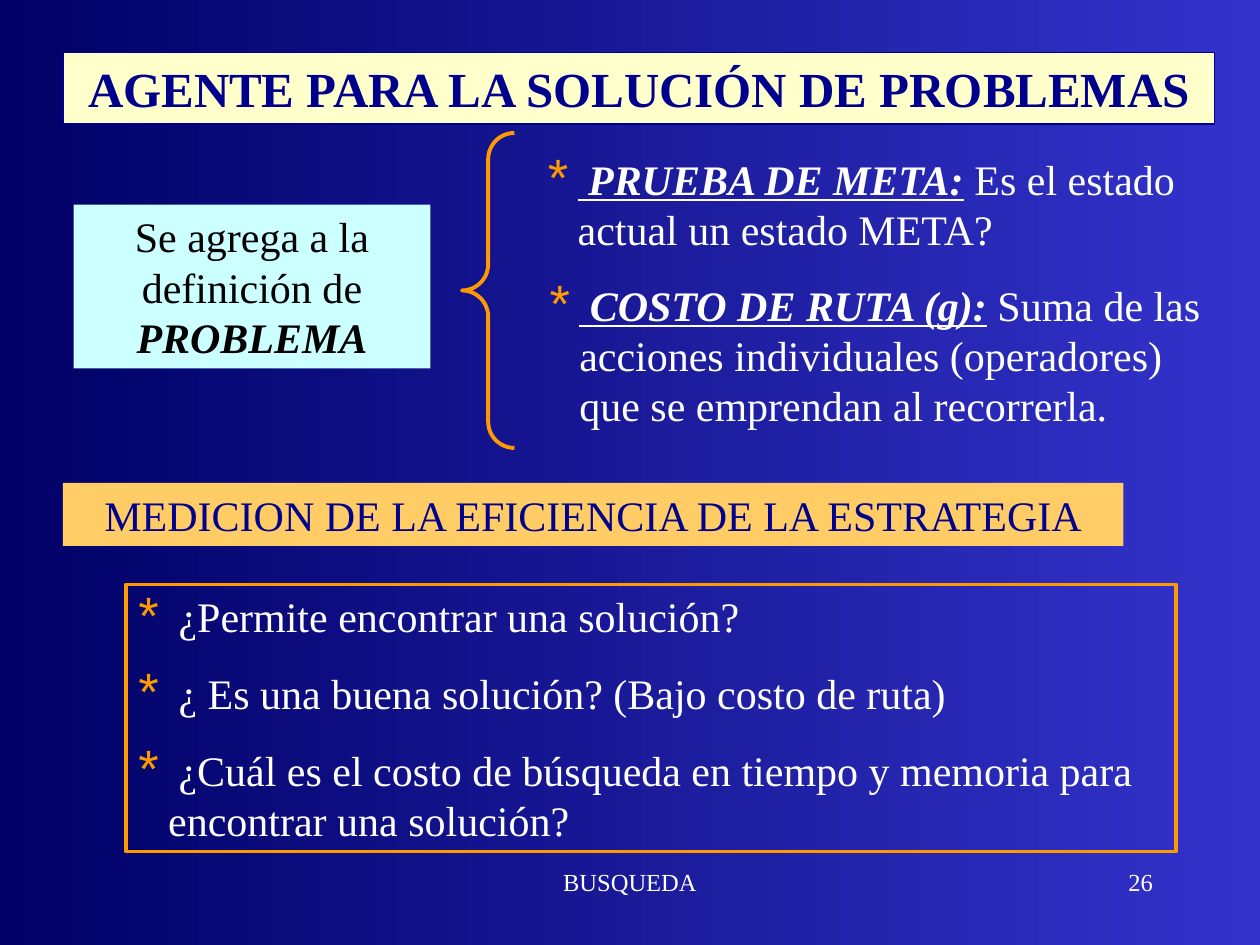
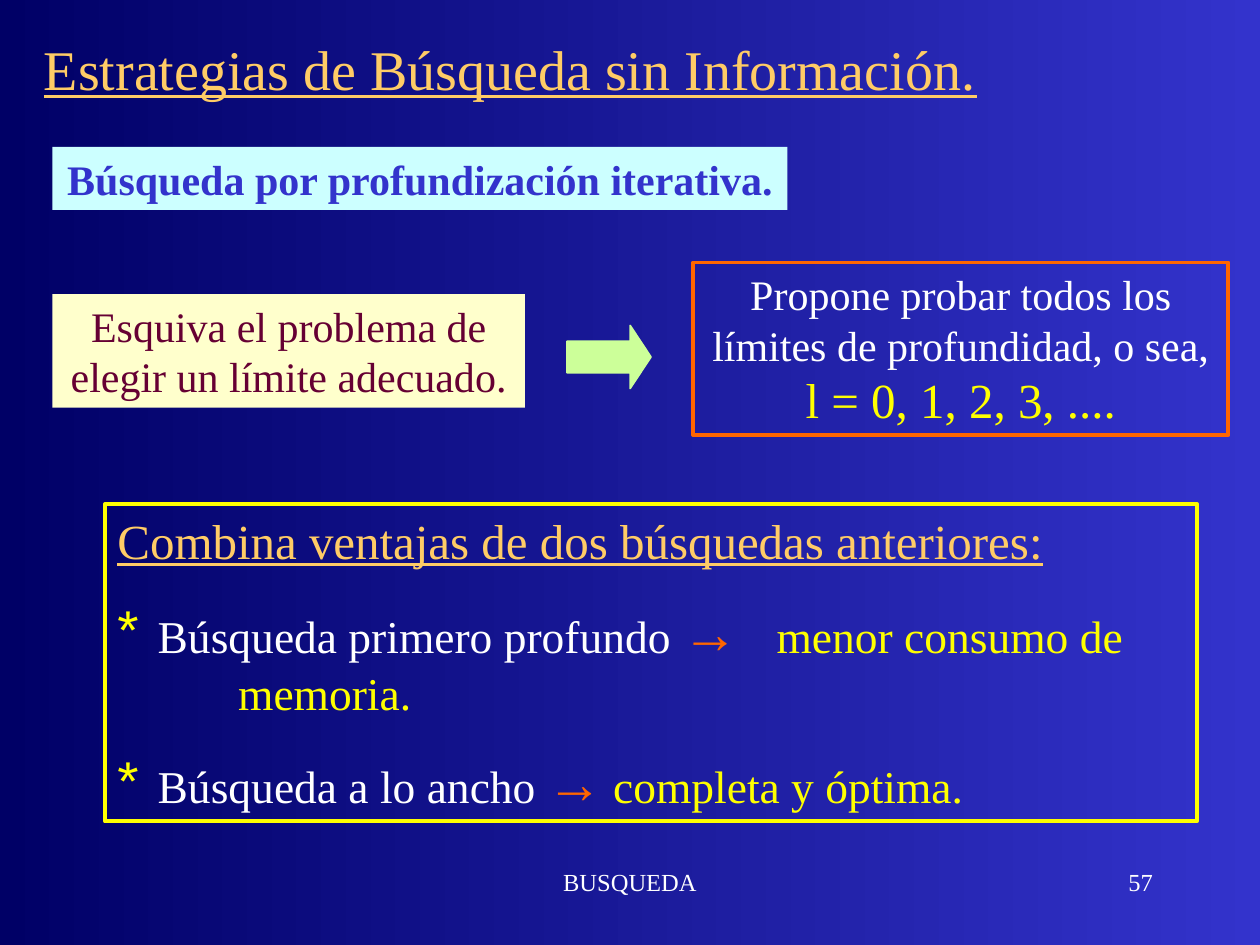
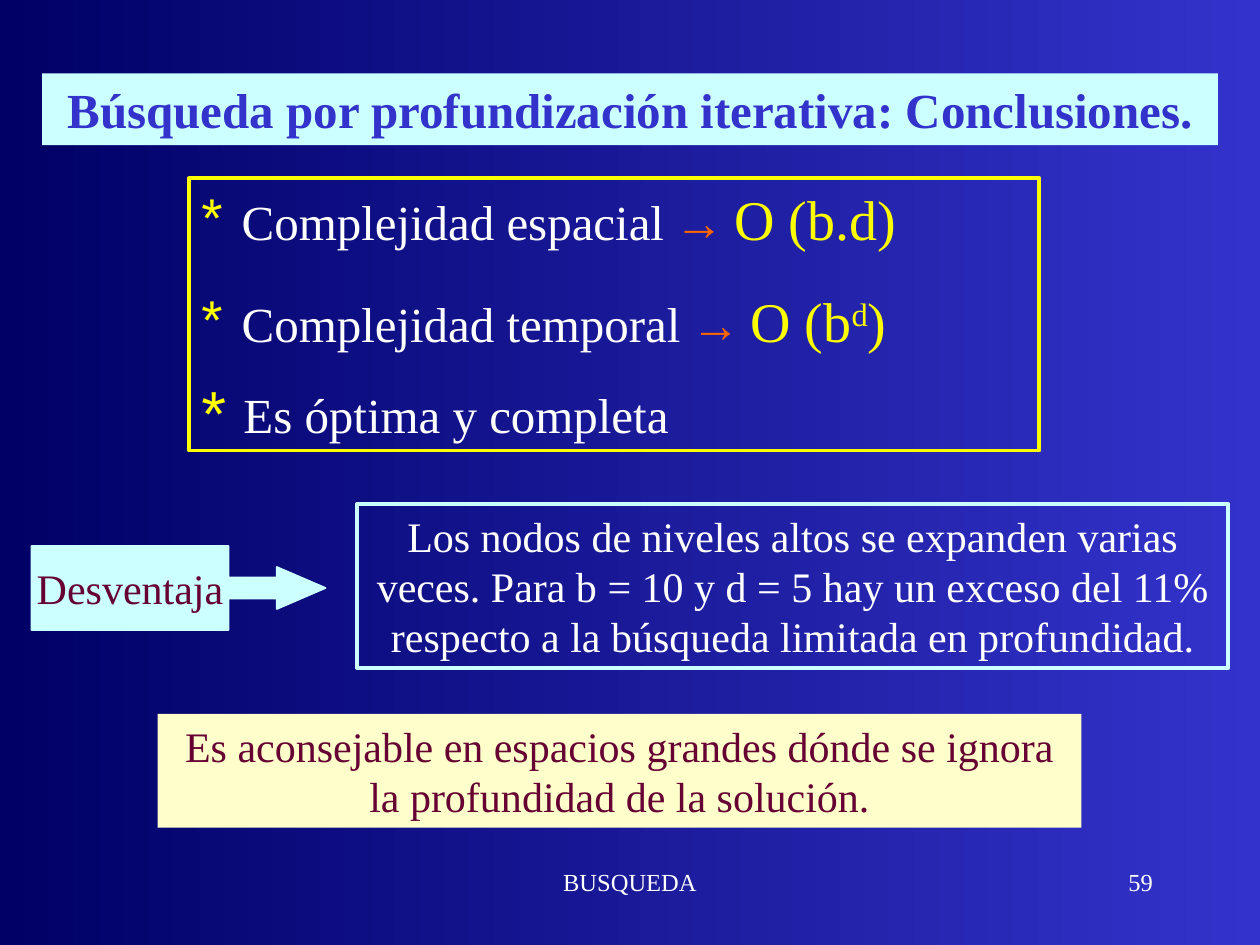
from dataclasses import dataclass

import pptx
import pptx.dml.color
import pptx.enum.shapes
import pptx.enum.text
import pptx.oxml
import pptx.oxml.ns
import pptx.util
from lxml import etree

Pt = pptx.util.Pt
SHAPE = pptx.enum.shapes.MSO_SHAPE
ALIGN = pptx.enum.text.PP_ALIGN
ANCHOR = pptx.enum.text.MSO_ANCHOR
AUTO = pptx.enum.text.MSO_AUTO_SIZE

WHITE, BLACK, YELLOW = "FFFFFF", "000000", "FFFF00"
BLUE, NAVY, DEEP = "3333CC", "00008C", "000066"
CREAM, ICE, LIME, GOLD = "FFFFCC", "CCFFFF", "CCFF99", "FFCC66"
ORANGE, RED, WINE = "FF9900", "FF6600", "660033"


def rgb(value):
    return pptx.dml.color.RGBColor.from_string(value)


@dataclass
class Run:
    text: str
    size: float = 24
    color: str = WHITE
    bold: bool = False
    italic: bool = False
    underline: bool = False
    font: str = "Times New Roman"
    baseline: int = 0
    spacing: int = 0


@dataclass
class Para:
    runs: list
    before: float = 0
    align: object = ALIGN.LEFT
    bullet: str = ""
    bullet_size: int = 125
    left: float = 0


def centred(*runs):
    return [Para(list(runs), align=ALIGN.CENTER)]


def starred(*runs, before=0, color=ORANGE, size=125):
    return Para(list(runs), before, bullet=color, bullet_size=size, left=17)


def finding(label, label_size, arrow_size, *values, before=0, gap=0):
    arrow = Run("→", arrow_size, RED, font="Arial", spacing=gap)
    return starred(Run(" "), Run(label, label_size), Run(" "), arrow, Run(" "), *values,
                   before=before, color=YELLOW, size=130)


class Deck:
    def __init__(self):
        self.prs = pptx.Presentation()
        self.prs.slide_width, self.prs.slide_height = Pt(720), Pt(540)
        fill = self.prs.slide_master.background.fill
        fill.gradient()
        fill.gradient_angle = 180
        for stop, position, color in zip(fill.gradient_stops, (0, 1), (BLUE, DEEP)):
            stop.position = position
            stop.color.rgb = rgb(color)

    def slide(self, number):
        self.s = self.prs.slides.add_slide(self.prs.slide_layouts[6])
        self.text((246, 492, 228, 36), centred(Run("BUSQUEDA", 14)), grow=False)
        self.text((516, 492, 150, 36), [Para([Run(str(number), 14)], align=ALIGN.RIGHT)],
                  grow=False)

    def text(self, at, paras, anchor=ANCHOR.TOP, grow=True):
        sp = self.s.shapes.add_textbox(*map(Pt, at))
        self.put_text(sp, paras, anchor, grow)

    def box(self, at, paras, fill=None, line=None, width=2.25):
        sp = self.shape(SHAPE.RECTANGLE, at, fill, line, width)
        self.put_text(sp, paras)

    def shape(self, kind, at, fill=None, line=None, width=1, adjust=()):
        sp = self.s.shapes.add_shape(kind, *map(Pt, at))
        sp.shadow.inherit = False
        for i, value in enumerate(adjust):
            sp.adjustments[i] = value
        if fill:
            sp.fill.solid()
            sp.fill.fore_color.rgb = rgb(fill)
        else:
            sp.fill.background()
        if line:
            sp.line.color.rgb = rgb(line)
            sp.line.width = Pt(width)
        else:
            sp.line.fill.background()
        return sp

    def put_text(self, sp, paras, anchor=ANCHOR.TOP, grow=True, wrap=True):
        tf = sp.text_frame
        tf.word_wrap = wrap
        tf.vertical_anchor = anchor
        tf.auto_size = AUTO.SHAPE_TO_FIT_TEXT if grow else AUTO.NONE
        for i, para in enumerate(paras):
            p = tf.add_paragraph() if i else tf.paragraphs[0]
            p.alignment = para.align
            p.space_before = Pt(para.before)
            self.indent(p, para)
            for run in para.runs:
                self.run(p, run)

    def indent(self, p, para):
        pPr = p._p.get_or_add_pPr()
        pPr.set("marL", str(Pt(para.left)))
        if para.bullet:
            pPr.set("indent", str(-Pt(para.left)))
            qn = pptx.oxml.ns.qn
            color = etree.SubElement(pPr, qn("a:buClr"))
            etree.SubElement(color, qn("a:srgbClr"), val=para.bullet)
            etree.SubElement(pPr, qn("a:buSzPct"), val=str(para.bullet_size * 1000))
            etree.SubElement(pPr, qn("a:buFont"), typeface="Arial")
            etree.SubElement(pPr, qn("a:buChar"), char="*")

    def run(self, p, run):
        r = p.add_run()
        r.text = run.text
        r.font.name = run.font
        r.font.size = Pt(run.size)
        r.font.color.rgb = rgb(run.color)
        r.font.bold, r.font.italic, r.font.underline = run.bold, run.italic, run.underline
        if run.baseline:
            r._r.get_or_add_rPr().set("baseline", str(run.baseline * 1000))
        if run.spacing:
            r._r.get_or_add_rPr().set("spc", str(run.spacing * 100))


def agent_slide(deck):
    deck.slide(26)
    deck.box((36, 30, 658, 41),
             centred(Run("AGENTE PARA LA SOLUCIÓN DE PROBLEMAS", 28, NAVY, bold=True)),
             CREAM, NAVY, 1)
    terms = [
        ((306, 84, 378, 65), " PRUEBA DE META:", " Es el estado actual un estado META?"),
        ((307, 156, 390, 93.6), " COSTO DE RUTA (g):",
         " Suma de las acciones individuales (operadores) que se emprendan al recorrerla."),
    ]
    for at, term, meaning in terms:
        name = Run(term, bold=True, italic=True, underline=True)
        deck.text(at, [starred(name, Run(meaning))])
    deck.shape(SHAPE.LEFT_BRACE, (264, 76, 30, 180), line=ORANGE, width=2.25,
               adjust=(0.5, 0.5))
    deck.box((42, 117, 204, 93.6),
             centred(Run("Se agrega a la definición de ", color=BLACK),
                     Run("PROBLEMA", color=BLACK, bold=True, italic=True)), ICE)
    deck.box((36, 276, 606, 36),
             centred(Run("MEDICION DE LA EFICIENCIA DE LA ESTRATEGIA", color=NAVY)), GOLD)
    questions = [
        " ¿Permite encontrar una solución?",
        " ¿ Es una buena solución? (Bajo costo de ruta)",
        " ¿Cuál es el costo de búsqueda en tiempo y memoria para encontrar una solución?",
    ]
    deck.box((72, 334, 600, 152.6),
             [starred(Run(q), before=15 if i else 0) for i, q in enumerate(questions)],
             line=ORANGE)


def iterative_slide(deck):
    deck.slide(57)
    title = Run("Estrategias de Búsqueda sin Información.", 32, GOLD, underline=True)
    deck.text((18, 12, 630, 54), [Para([title])], ANCHOR.MIDDLE, grow=False)
    deck.box((30, 84, 420, 36),
             centred(Run("Búsqueda por profundización iterativa.", color=BLUE, bold=True)), ICE)
    deck.box((30, 168, 270, 65),
             centred(Run("Esquiva el problema de elegir un límite adecuado.", color=WINE)),
             CREAM)
    deck.box((396, 150, 306, 98.6),
             centred(Run("Propone probar todos los límites de profundidad, o sea, "),
                     Run("l = 0, 1, 2, 3, ....", 28, YELLOW)), line=RED)
    heading = Run("Combina ventajas de dos búsquedas anteriores:", 28, GOLD, underline=True)
    deck.box((60, 288, 624, 181.4), [
        Para([heading]),
        finding("Búsqueda primero profundo", 26, 32, Run("menor consumo de", 26, YELLOW),
                before=16.2, gap=16),
        Para([Run("memoria.", 26, YELLOW)], left=69),
        finding("Búsqueda a lo ancho", 26, 32, Run("completa y óptima.", 26, YELLOW),
                before=16.2),
    ], line=YELLOW)
    deck.shape(SHAPE.RIGHT_ARROW, (324, 186, 48, 36), LIME, LIME, adjust=(0.5, 0.33))


def conclusions_slide(deck):
    deck.slide(59)
    title = "Búsqueda por profundización iterativa: Conclusiones."
    deck.box((24, 42, 672, 41), centred(Run(title, 28, BLUE, bold=True)), ICE)
    deck.box((108, 102, 486, 155.5), [
        finding("Complejidad espacial", 28, 28, Run("O (b.d)", 32, YELLOW)),
        finding("Complejidad temporal", 28, 28, Run("O (b", 32, YELLOW),
                Run("d", 32, YELLOW, baseline=30), Run(")", 32, YELLOW), before=20),
        starred(Run(" ", 28), Run("Es óptima y completa", 28),
                before=17.5, color=YELLOW, size=130),
    ], line=YELLOW)
    deck.box((90, 408, 528, 65),
             centred(Run("Es aconsejable en espacios grandes dónde se ignora "
                         "la profundidad de la solución.", color=WINE)), CREAM)
    callout = deck.shape(SHAPE.RIGHT_ARROW_CALLOUT, (18, 312, 168, 48), ICE, ICE,
                         adjust=(0.25, 0.25, 0.58, 0.67))
    deck.put_text(callout, centred(Run("Desventaja", color=WINE)), ANCHOR.MIDDLE,
                  grow=False, wrap=False)
    deck.box((204, 288, 498, 93.6),
             centred(Run("Los nodos de niveles altos se expanden varias veces. "
                         "Para b = 10 y d = 5 hay un exceso del 11% "
                         "respecto a la búsqueda limitada en profundidad.")), line=ICE)


def main():
    deck = Deck()
    agent_slide(deck)
    iterative_slide(deck)
    conclusions_slide(deck)
    deck.prs.save("out.pptx")


if __name__ == "__main__":
    main()
